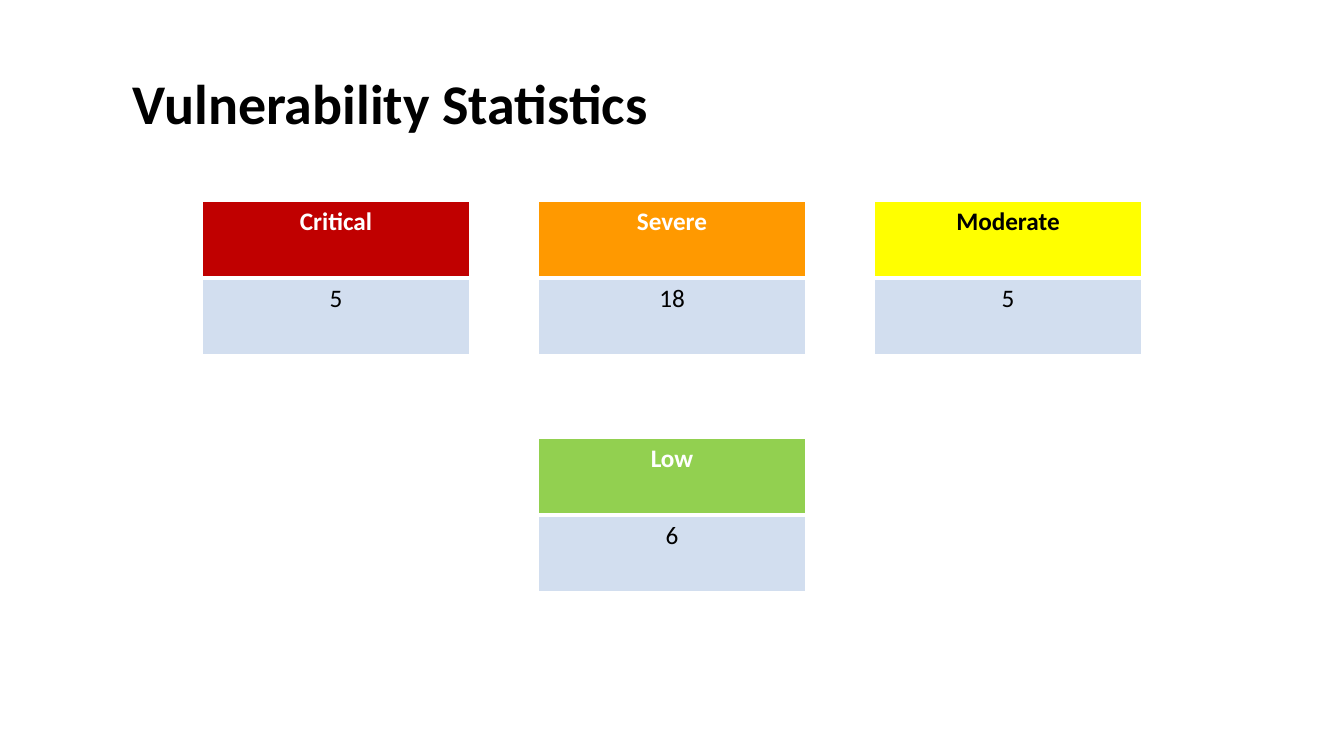
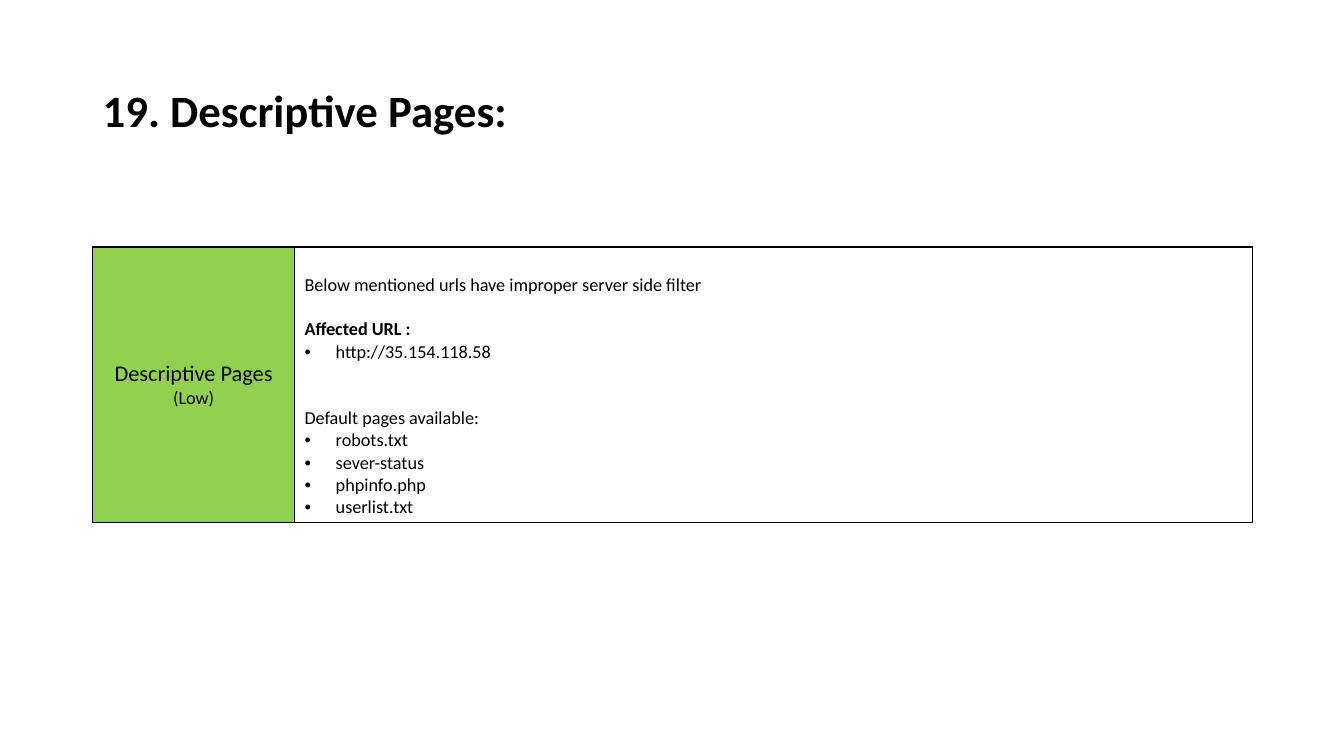
from lxml import etree
from pptx import Presentation
from pptx.dml.color import RGBColor
from pptx.enum.text import MSO_ANCHOR, PP_ALIGN
from pptx.oxml.ns import qn
from pptx.util import Inches, Pt

MIDDLE, TOP = MSO_ANCHOR.MIDDLE, MSO_ANCHOR.TOP
LEFT, CENTER = PP_ALIGN.LEFT, PP_ALIGN.CENTER

BLACK = RGBColor(0x00, 0x00, 0x00)
WHITE = RGBColor(0xFF, 0xFF, 0xFF)
RED = RGBColor(0xC0, 0x00, 0x00)
ORANGE = RGBColor(0xFF, 0x99, 0x00)
YELLOW = RGBColor(0xFF, 0xFF, 0x00)
GREEN = RGBColor(0x92, 0xD0, 0x50)
PALE_BLUE = RGBColor(0xD2, 0xDE, 0xEF)

FONT = "Calibri"
PAGE_WIDTH, PAGE_HEIGHT = Inches(13.33), Inches(7.5)
BODY_SIZE = 13
BLANK_LINE = 15.87
BULLET_INDENT = Inches(0.31)
SIDES = ("L", "R", "T", "B")

SEVERITIES = [
    ("Critical", "5", RED, WHITE, 0, 0),
    ("Severe", "18", ORANGE, WHITE, 1, 0),
    ("Moderate", "5", YELLOW, BLACK, 2, 0),
    ("Low", "6", GREEN, WHITE, 1, 1),
]

FINDINGS = [
    ("Below mentioned urls have improper server side filter", {}),
    ("Affected URL :", {"bold": True, "before": BLANK_LINE}),
    ("http://35.154.118.58", {"bullet": True}),
    ("Default pages available:", {"before": 2 * BLANK_LINE}),
    ("robots.txt", {"bullet": True}),
    ("sever-status", {"bullet": True}),
    ("phpinfo.php", {"bullet": True}),
    ("userlist.txt", {"bullet": True}),
]


def add_span(para, text, size=BODY_SIZE, color=BLACK, bold=False):
    span = para.add_run()
    span.text = text
    span.font.name = FONT
    span.font.size = Pt(size)
    span.font.bold = bold
    span.font.color.rgb = color


def write(frame, text, first=True, align=LEFT, before=0, spacing=1.0, bullet=False, **style):
    para = frame.paragraphs[0] if first else frame.add_paragraph()
    para.alignment = align
    para.line_spacing = spacing
    para.space_before = Pt(before)
    if bullet:
        properties = para._p.get_or_add_pPr()
        properties.set("marL", str(BULLET_INDENT))
        properties.set("indent", str(-BULLET_INDENT))
        etree.SubElement(properties, qn("a:buFont")).set("typeface", "Arial")
        etree.SubElement(properties, qn("a:buChar")).set("char", "•")
    add_span(para, text, **style)
    return para


def format_cell(cell, fill=None, anchor=TOP, line=None, widths=(1, 1, 1, 1)):
    cell.vertical_anchor = anchor
    properties = cell._tc.get_or_add_tcPr()
    for side, width in zip(SIDES, widths):
        border = etree.SubElement(properties, qn(f"a:ln{side}"))
        border.set("w", str(Pt(width)))
        if line is None or width == 0:
            etree.SubElement(border, qn("a:noFill"))
        else:
            paint = etree.SubElement(border, qn("a:solidFill"))
            etree.SubElement(paint, qn("a:srgbClr")).set("val", str(line))
    if fill is None:
        cell.fill.background()
    else:
        cell.fill.solid()
        cell.fill.fore_color.rgb = fill


def add_grid(page, left, top, columns, rows):
    table = page.shapes.add_table(
        len(rows), len(columns), left, top, sum(columns), sum(rows)
    ).table
    table.first_row = table.horz_banding = False
    for column, width in zip(table.columns, columns):
        column.width = width
    for row, height in zip(table.rows, rows):
        row.height = height
    return table


def add_page(deck, title, left, top, width, size):
    page = deck.slides.add_slide(deck.slide_layouts[6])
    box = page.shapes.add_textbox(left, top, width, Inches(1.45))
    frame = box.text_frame
    frame.word_wrap = True
    frame.vertical_anchor = MIDDLE
    write(frame, title, spacing=0.9, size=size, bold=True)
    return page


def add_severity_card(page, left, top, width, row_height, label, count, fill, color):
    table = add_grid(page, left, top, [width], [row_height] * 2)
    header, value = table.cell(0, 0), table.cell(1, 0)
    format_cell(header, fill, line=WHITE, widths=(1, 1, 1, 3))
    format_cell(value, PALE_BLUE, line=WHITE, widths=(1, 1, 3, 1))
    write(header.text_frame, label, align=CENTER, size=18, color=color, bold=True)
    write(value.text_frame, count, align=CENTER, size=18)


def build_statistics(deck):
    page = add_page(deck, "Vulnerability Statistics", Inches(1.22), Inches(0.33), Inches(6), 40)
    width, row_height = Inches(2.65), Inches(0.76)
    for label, count, fill, color, column, row in SEVERITIES:
        left = PAGE_WIDTH * (column + 1) // 4 - width // 2
        top = Inches(2 + 2.35 * row)
        add_severity_card(page, left, top, width, row_height, label, count, fill, color)


def build_finding(deck):
    left, width = Inches(0.92), Inches(11.5)
    page = add_page(deck, "19. Descriptive Pages:", left, Inches(0.4), width, 32)
    label_width = Inches(2)
    table = add_grid(
        page, left, Inches(2), [label_width, width - label_width], [Inches(0.45), Inches(2.73)]
    )
    for column in range(2):
        format_cell(table.cell(0, column), line=BLACK, widths=(0, 0, 0, 1))

    label, details = table.cell(1, 0), table.cell(1, 1)
    format_cell(label, GREEN, MIDDLE, BLACK)
    para = write(label.text_frame, "Descriptive Pages ", align=CENTER, size=16)
    add_span(para, "(Low)")

    format_cell(details, WHITE, line=BLACK)
    details.margin_top = Inches(0.05) + Pt(BLANK_LINE)
    for index, (text, style) in enumerate(FINDINGS):
        write(details.text_frame, text, first=index == 0, **style)


def main():
    deck = Presentation()
    deck.slide_width, deck.slide_height = PAGE_WIDTH, PAGE_HEIGHT
    build_statistics(deck)
    build_finding(deck)
    deck.save("out.pptx")


if __name__ == "__main__":
    main()
